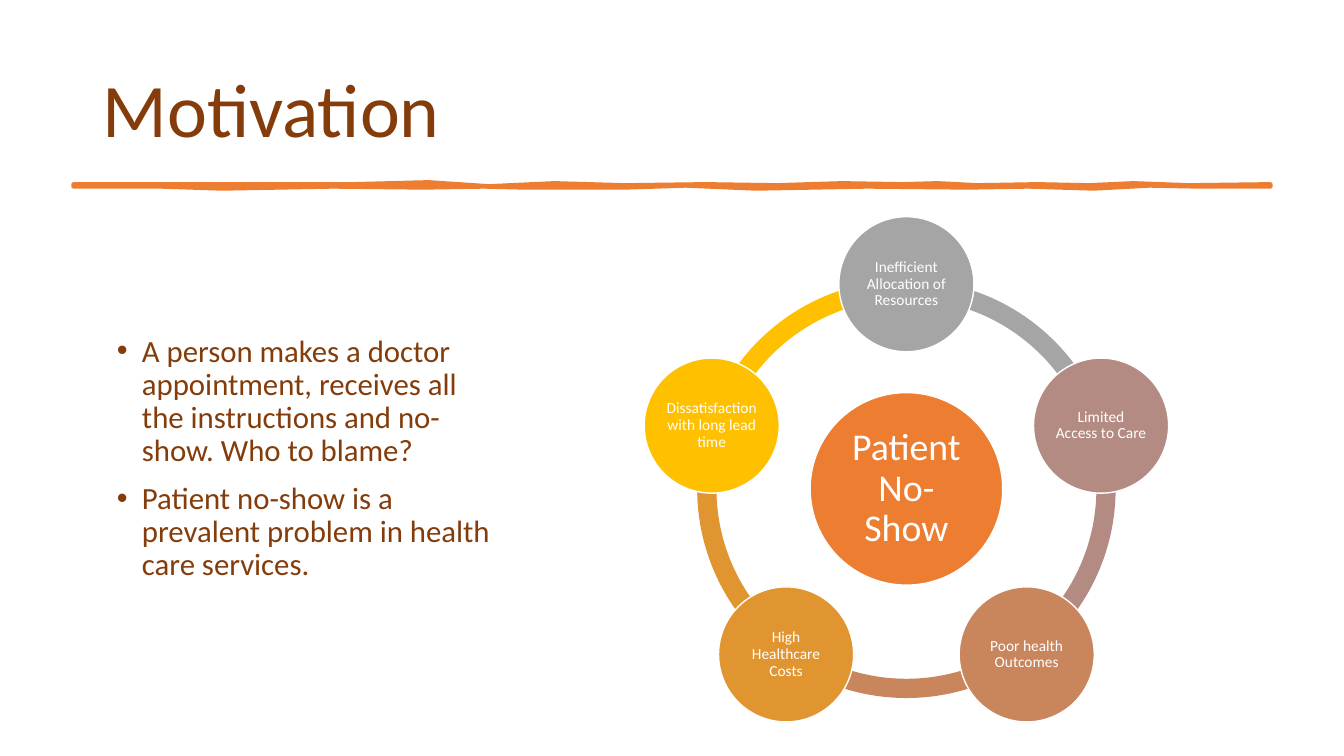
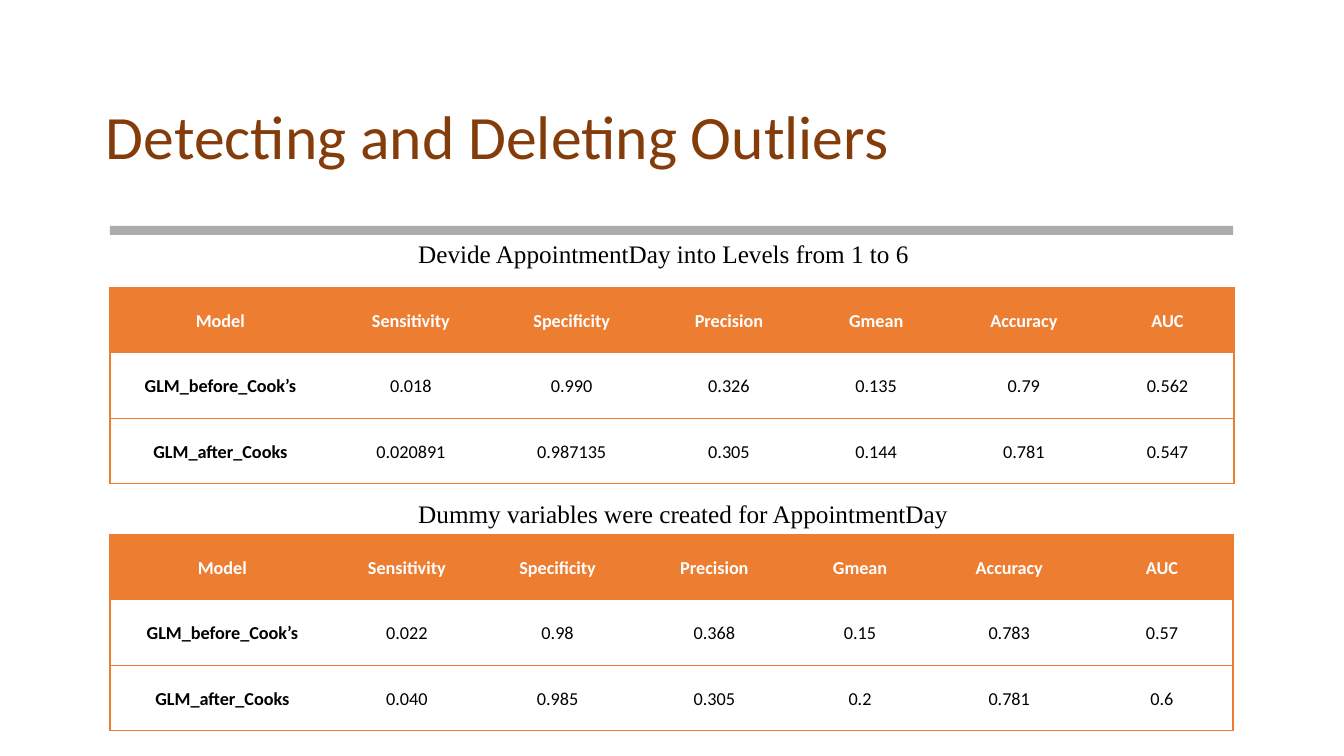
"""Build two slides on patient no-shows: the motivation and the outlier results."""
from math import cos, radians, sin

from lxml.etree import SubElement
from pptx import Presentation
from pptx.dml.color import RGBColor
from pptx.enum.shapes import MSO_SHAPE as Shape
from pptx.enum.text import MSO_ANCHOR as Anchor, PP_ALIGN as Align
from pptx.oxml.ns import qn
from pptx.util import Inches, Pt

ORANGE = RGBColor(0xED, 0x7D, 0x31)
BROWN = RGBColor(0x84, 0x3C, 0x0B)
WHITE = RGBColor(0xFF, 0xFF, 0xFF)
BLACK = RGBColor(0x00, 0x00, 0x00)
GRAY = RGBColor(0x80, 0x80, 0x80)
SILVER = RGBColor(0xA5, 0xA5, 0xA5)
ROSE = RGBColor(0xB4, 0x8B, 0x83)
COPPER = RGBColor(0xC9, 0x85, 0x5C)
AMBER = RGBColor(0xE1, 0x95, 0x30)
GOLD = RGBColor(0xFF, 0xC0, 0x00)


def style_text(frame, size, color, align=Align.LEFT, spacing=0.9, font="Calibri", bold=False):
    """Format every paragraph of a text frame."""
    frame.word_wrap = True
    for paragraph in frame.paragraphs:
        paragraph.alignment = align
        paragraph.line_spacing = spacing
        for run in paragraph.runs:
            run.font.name = font
            run.font.size = Pt(size)
            run.font.color.rgb = color
            run.font.bold = bold


def add_titled_slide(title, size, left, top, width):
    """Add a title-only slide with its title set in brown."""
    slide = prs.slides.add_slide(prs.slide_layouts[5])
    heading = slide.shapes.title
    heading.left, heading.top = Inches(left), Inches(top)
    heading.width, heading.height = Inches(width), Inches(1.45)
    heading.text_frame.text = title
    heading.text_frame.vertical_anchor = Anchor.MIDDLE
    style_text(heading.text_frame, size, BROWN)
    return slide


prs = Presentation()
prs.slide_width, prs.slide_height = Inches(13.33), Inches(7.5)

motivation = add_titled_slide("Motivation", 54, 0.92, 0.4, 11.5)

upper_edge = [
    (0.73, 1.83), (1.24, 1.83), (1.7, 1.83), (2.2, 1.83), (2.84, 1.83), (3.5, 1.83),
    (4.25, 1.81), (4.85, 1.85), (5.5, 1.82), (6.2, 1.84), (7, 1.83), (7.7, 1.84),
    (8.35, 1.82), (8.95, 1.83), (9.3, 1.82), (9.7, 1.84), (10.29, 1.83),
    (10.8, 1.84), (11.24, 1.82), (11.8, 1.84), (12.6, 1.83),
]
lower_edge = [
    (12.6, 1.85), (11.9, 1.85), (11.4, 1.84), (10.85, 1.87), (10.2, 1.85), (9.6, 1.86),
    (8.6, 1.85), (7.5, 1.87), (6.8, 1.84), (6.2, 1.86), (5.2, 1.86), (4.8, 1.85),
    (4.2, 1.86), (3.3, 1.85), (2.2, 1.87), (1.6, 1.85), (0.73, 1.85),
]
outline = [(Inches(x), Inches(y)) for x, y in upper_edge + lower_edge]
builder = motivation.shapes.build_freeform(*outline[0])
builder.add_line_segments(outline[1:], close=True)
brush_stroke = builder.convert_to_shape()
brush_stroke.shadow.inherit = False
brush_stroke.fill.solid()
brush_stroke.fill.fore_color.rgb = ORANGE
brush_stroke.line.color.rgb = ORANGE
brush_stroke.line.width = Pt(3.25)
SubElement(brush_stroke.line._get_or_add_ln(), qn("a:round"))

argument = motivation.shapes.add_textbox(Inches(1.06), Inches(3.28), Inches(4.01), Inches(3.07)).text_frame
argument.text = (
    "A person makes a doctor appointment, receives all the instructions and no-show. Who to blame?\n"
    "Patient no-show is a prevalent problem in health care services."
)
for point in argument.paragraphs:
    props = point._p.get_or_add_pPr()
    props.set("marL", str(Inches(0.25)))
    props.set("indent", str(-Inches(0.25)))
    SubElement(props, qn("a:buFont")).set("typeface", "Arial")
    SubElement(props, qn("a:buChar")).set("char", "•")
style_text(argument, 22, BROWN)
argument.paragraphs[1].space_before = Pt(10)

center_x, center_y = 8.99, 4.85
orbit, ring_size, cause_size, hub_size = 2.03, 4.15, 1.34, 1.91
causes = [
    ("Inefficient Allocation of Resources", SILVER),
    ("Limited Access to Care", ROSE),
    ("Poor health Outcomes", COPPER),
    ("High Healthcare Costs", AMBER),
    ("Dissatisfaction with long lead time", GOLD),
]
step = 360 / len(causes)
circles = [("Patient No-Show", ORANGE, center_x, center_y, hub_size, 27, 0.04)]
for index, (cause, color) in enumerate(causes):
    angle = (270 + index * step) % 360
    arc = motivation.shapes.add_shape(
        Shape.BLOCK_ARC, Inches(center_x - ring_size / 2), Inches(center_y - ring_size / 2),
        Inches(ring_size), Inches(ring_size))
    arc.adjustments[0] = angle * 0.6
    arc.adjustments[1] = (angle + step) % 360 * 0.6
    arc.adjustments[2] = 0.046
    arc.shadow.inherit = False
    arc.fill.solid()
    arc.fill.fore_color.rgb = color
    arc.line.fill.background()
    x = center_x + orbit * cos(radians(angle))
    y = center_y + orbit * sin(radians(angle))
    circles.append((cause, color, x, y, cause_size, 11, 0.02))

for label, color, x, y, size, font_size, inset in circles:
    circle = motivation.shapes.add_shape(
        Shape.OVAL, Inches(x - size / 2), Inches(y - size / 2), Inches(size), Inches(size))
    circle.shadow.inherit = False
    circle.fill.solid()
    circle.fill.fore_color.rgb = color
    circle.line.color.rgb = WHITE
    circle.line.width = Pt(1)
    frame = circle.text_frame
    frame.text = label
    frame.margin_left = frame.margin_right = Inches(inset)
    frame.margin_top = frame.margin_bottom = Inches(inset)
    frame.vertical_anchor = Anchor.MIDDLE
    style_text(frame, font_size, WHITE, Align.CENTER)

outliers = add_titled_slide("Detecting and Deleting Outliers", 44, 0.95, 0.66, 11.43)

band = outliers.shapes.add_shape(Shape.RECTANGLE, Inches(1.09), Inches(2.24), Inches(11.14), Inches(0.09))
band.shadow.inherit = False
band.fill.solid()
band.fill.fore_color.rgb = GRAY
band.line.fill.background()
band_color = band._element.spPr.find(qn("a:solidFill"))[0]
SubElement(band_color, qn("a:alpha")).set("val", "65000")

header = ["Model", "Sensitivity", "Specificity", "Precision", "Gmean", "Accuracy", "AUC"]
results = [
    ("Devide AppointmentDay into Levels from 1 to 6", 2.32, 2.85,
     [2.19, 1.59, 1.6, 1.52, 1.4, 1.53, 1.32],
     [["GLM_before_Cook’s", "0.018", "0.990", "0.326", "0.135", "0.79", "0.562"],
      ["GLM_after_Cooks", "0.020891", "0.987135", "0.305", "0.144", "0.781", "0.547"]]),
    ("Dummy variables were created for AppointmentDay", 4.89, 5.3,
     [2.23, 1.43, 1.56, 1.55, 1.34, 1.62, 1.41],
     [["GLM_before_Cook’s", "0.022", "0.98", "0.368", "0.15", "0.783", "0.57"],
      ["GLM_after_Cooks", "0.040", "0.985", "0.305", "0.2", "0.781", "0.6"]]),
]
for caption, caption_top, table_top, widths, scores in results:
    rows = [header] + scores
    table = outliers.shapes.add_table(
        len(rows), len(header), Inches(1.09), Inches(table_top), Inches(11.14), Inches(1.94)).table
    table.horz_banding = False
    for column, width in zip(table.columns, widths):
        column.width = Inches(width)
    for row_index, row in enumerate(rows):
        table.rows[row_index].height = Inches(0.65)
        is_header = row_index == 0
        for column_index, value in enumerate(row):
            cell = table.cell(row_index, column_index)
            cell.text = value
            cell.vertical_anchor = Anchor.MIDDLE
            cell.margin_left = cell.margin_right = Inches(0.08)
            cell.margin_top = cell.margin_bottom = 0
            style_text(cell.text_frame, 13, WHITE if is_header else BLACK, Align.CENTER, 1.07,
                       bold=is_header or column_index == 0)
            visible_sides = {
                "lnL": column_index == 0,
                "lnR": column_index == len(header) - 1,
                "lnT": True,
                "lnB": True,
            }
            for side, visible in visible_sides.items():
                border = SubElement(cell._tc.get_or_add_tcPr(), qn(f"a:{side}"), w=str(Pt(1)))
                if visible:
                    border_fill = SubElement(border, qn("a:solidFill"))
                    SubElement(border_fill, qn("a:srgbClr"), val=str(ORANGE))
                else:
                    SubElement(border, qn("a:noFill"))
            cell.fill.solid()
            cell.fill.fore_color.rgb = ORANGE if is_header else WHITE
    note = outliers.shapes.add_textbox(Inches(4.05), Inches(caption_top), Inches(6.67), Inches(0.4)).text_frame
    note.text = caption
    style_text(note, 18, BLACK, spacing=1.0, font="Times New Roman")

prs.save("out.pptx")
